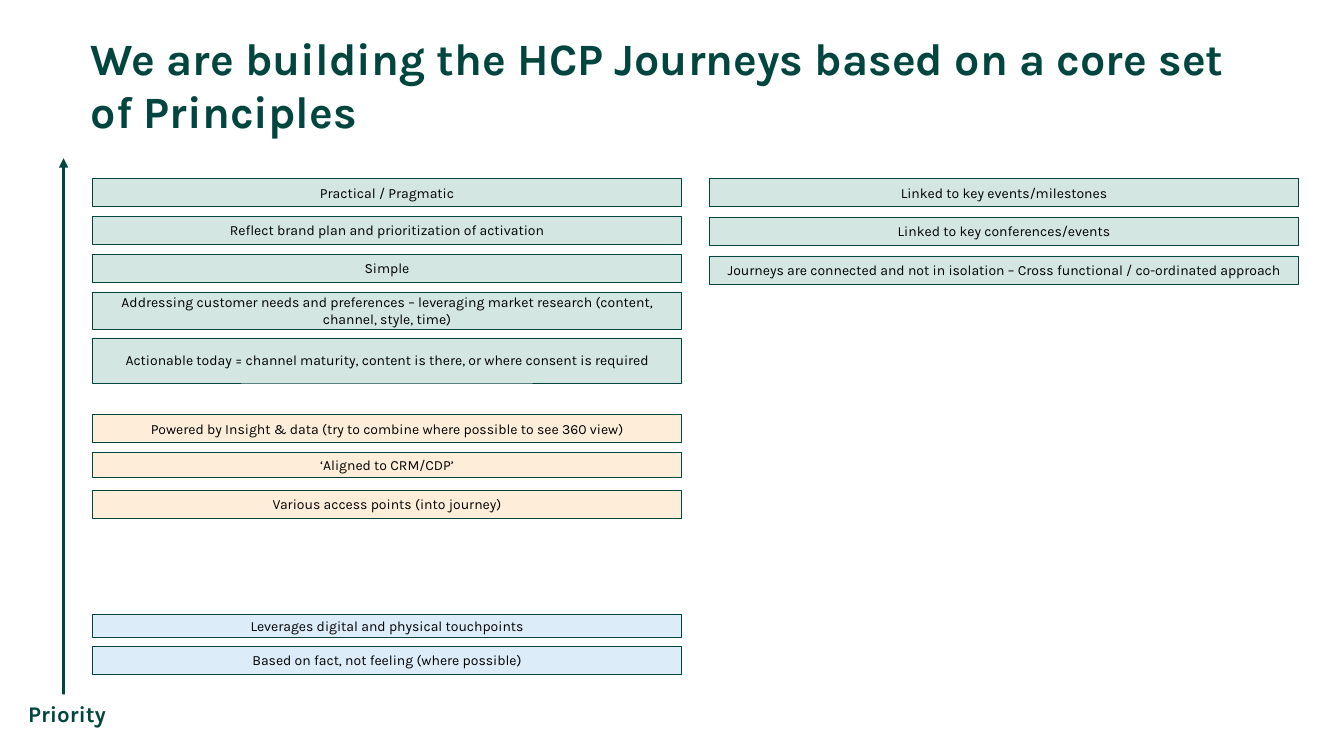
from lxml import etree
from pptx import Presentation
from pptx.dml.color import RGBColor
from pptx.enum import shapes, text
from pptx.oxml.ns import qn
from pptx.util import Pt

DARK_GREEN = RGBColor(0x00, 0x46, 0x3E)
GREEN = RGBColor(0xD3, 0xE6, 0xE2)
ORANGE = RGBColor(0xFE, 0xEE, 0xD9)
BLUE = RGBColor(0xDD, 0xEC, 0xF9)
WHITE = RGBColor(0xFF, 0xFF, 0xFF)
BLACK = RGBColor(0x00, 0x00, 0x00)

FONT = "Karla"
BOX_WIDTH = 420.5
BOX_HEIGHT = 20.2
MIN_GAP = 6.2
LEFT_COLUMN = 66.2
RIGHT_COLUMN = 506.9

STACKS = [
    (LEFT_COLUMN, 127.4, 27, GREEN, [
        ("Practical / Pragmatic", BOX_HEIGHT),
        ("Reflect brand plan and prioritization of activation", BOX_HEIGHT),
        ("Simple", BOX_HEIGHT),
        ("Addressing customer needs and preferences – leveraging market "
         "research (content, channel, style, time)", 26.6),
        ("Actionable today = channel maturity, content is there, or where "
         "consent is required", 32.4),
    ]),
    (LEFT_COLUMN, 295.9, 27, ORANGE, [
        ("Powered by Insight & data (try to combine where possible to see "
         "360 view)", BOX_HEIGHT),
        ("‘Aligned to CRM/CDP’", 18),
        ("Various access points (into journey)", BOX_HEIGHT),
    ]),
    (LEFT_COLUMN, 438.5, 23, BLUE, [
        ("Leverages digital and physical touchpoints", 16.6),
        ("Based on fact, not feeling (where possible)", BOX_HEIGHT),
    ]),
    (RIGHT_COLUMN, 127.4, 27.7, GREEN, [
        ("Linked to key events/milestones", BOX_HEIGHT),
        ("Linked to key conferences/events", BOX_HEIGHT),
        ("Journeys are connected and not in isolation – Cross functional / "
         "co-ordinated approach", BOX_HEIGHT),
    ]),
]


def style(p, size, color, align, bold=False):
    p.alignment = align
    p.font.name = FONT
    p.font.size = Pt(size)
    p.font.bold = bold
    p.font.color.rgb = color


def add_title(s, left, top, width, height, wording):
    sp = s.shapes.title
    sp.left, sp.top, sp.width, sp.height = Pt(left), Pt(top), Pt(width), Pt(height)
    tf = sp.text_frame
    tf.text = wording
    tf.word_wrap = True
    tf.auto_size = text.MSO_AUTO_SIZE.NONE
    tf.vertical_anchor = text.MSO_ANCHOR.TOP
    tf.margin_left = tf.margin_right = Pt(7.2)
    tf.margin_top, tf.margin_bottom = Pt(1.4), 0
    style(tf.paragraphs[0], 32, DARK_GREEN, text.PP_ALIGN.LEFT, bold=True)


def add_box(s, left, top, width, height, fill, wording):
    sp = s.shapes.add_shape(shapes.MSO_SHAPE.RECTANGLE,
                            Pt(left), Pt(top), Pt(width), Pt(height))
    sp.shadow.inherit = False
    sp.fill.solid()
    sp.fill.fore_color.rgb = fill
    tf = sp.text_frame
    tf.word_wrap = True
    tf.vertical_anchor = text.MSO_ANCHOR.MIDDLE
    tf.text = wording
    return sp


def add_stack(s, left, top, pitch, fill, principles):
    for wording, height in principles:
        sp = add_box(s, left, top, BOX_WIDTH, height, fill, wording)
        sp.line.color.rgb = DARK_GREEN
        sp.line.width = Pt(0.25)
        style(sp.text_frame.paragraphs[0], 10, BLACK, text.PP_ALIGN.CENTER)
        top += max(pitch, height + MIN_GAP)


def add_priority_axis(s, left, top, width, height):
    label_height = 26.6
    x, bottom = left + 42.5, top + height
    arrow = s.shapes.add_connector(shapes.MSO_CONNECTOR.STRAIGHT,
                                   Pt(x), Pt(bottom - 1.4), Pt(x), Pt(top))
    arrow.line.color.rgb = DARK_GREEN
    arrow.line.width = Pt(2.25)
    etree.SubElement(arrow.line._get_or_add_ln(), qn("a:tailEnd"), type="triangle")
    etree.SubElement(arrow._element.spPr, qn("a:effectLst"))
    label = add_box(s, left, bottom - label_height, width, label_height,
                    WHITE, "Priority")
    label.line.fill.background()
    style(label.text_frame.paragraphs[0], 16, DARK_GREEN,
          text.PP_ALIGN.CENTER, bold=True)


def add_principles_slide(prs):
    s = prs.slides.add_slide(prs.slide_layouts[5])
    add_title(s, 57.6, 20.2, 851, 102.2,
              "We are building the HCP Journeys based on a core set of Principles")
    for stack in STACKS:
        add_stack(s, *stack)
    add_priority_axis(s, 2.9, 113, 90, 409.7)


def main():
    prs = Presentation()
    prs.slide_width, prs.slide_height = Pt(960), Pt(540)
    add_principles_slide(prs)
    prs.save("out.pptx")


if __name__ == "__main__":
    main()
